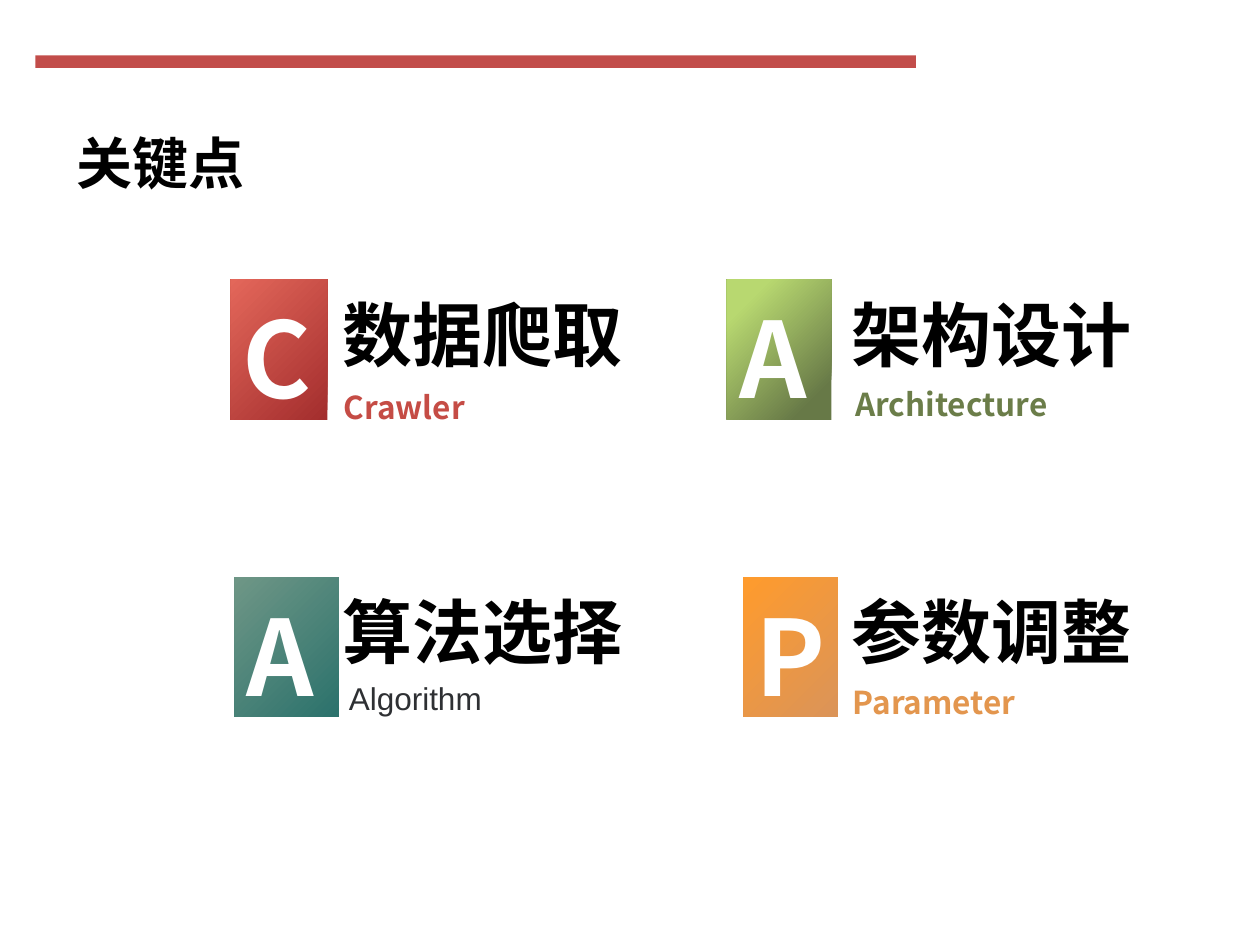
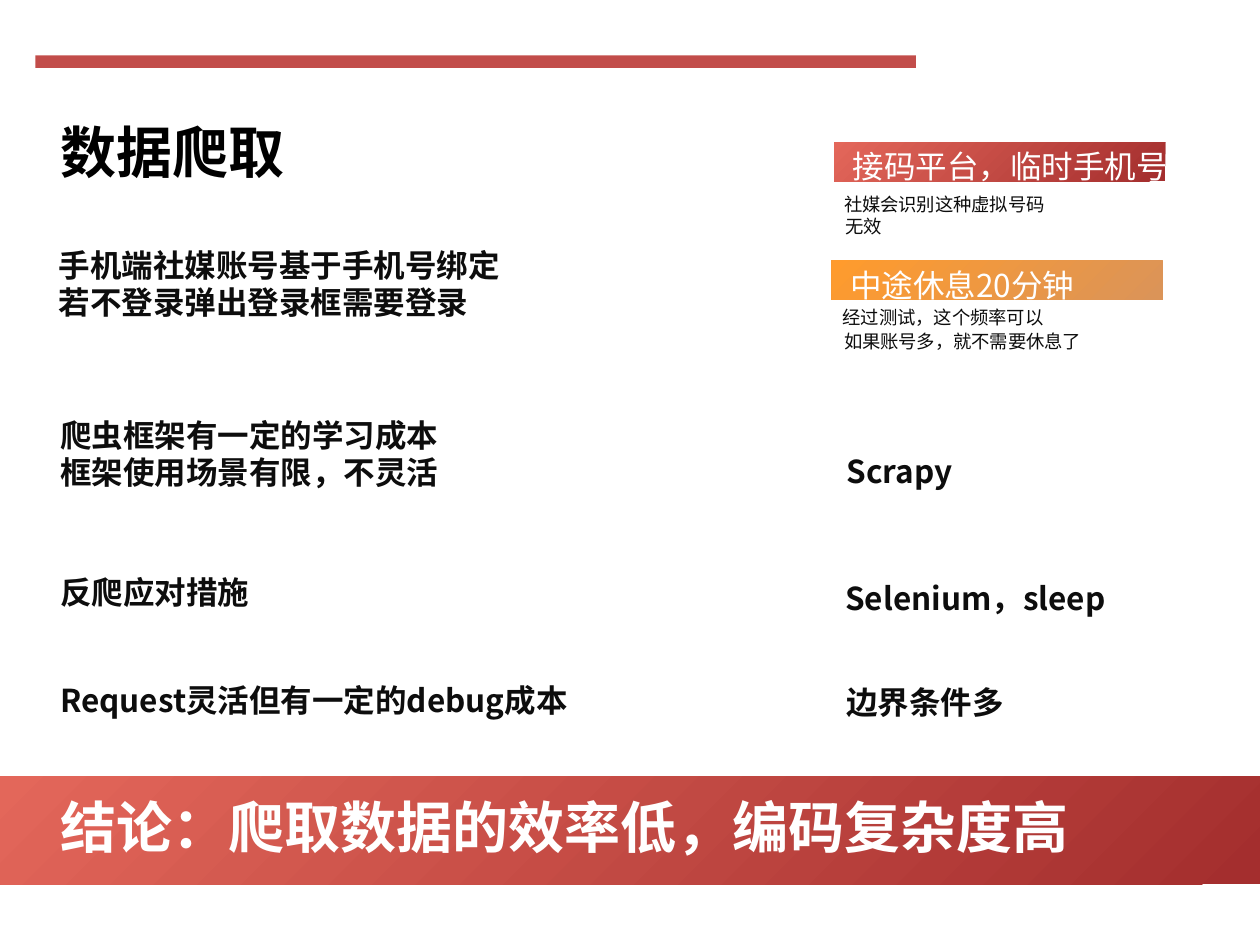
"""Build two slides on the key points of a data project: overview and data crawling."""
from dataclasses import dataclass

from lxml.etree import SubElement
from pptx import Presentation
from pptx.dml.color import RGBColor as RGB
from pptx.enum.shapes import MSO_SHAPE as SHAPE
from pptx.enum.text import MSO_ANCHOR as ANCHOR, PP_ALIGN as ALIGN
from pptx.oxml.ns import qn
from pptx.util import Inches, Pt


@dataclass(frozen=True)
class Theme:
    font: str = "Noto Sans CJK SC"
    plain_font: str = "Arial"
    bar: str = "C24D4A"
    black: str = "000000"
    ink: str = "0D0D0D"
    white: str = "FFFFFF"
    crawler: str = "C54C45"
    architecture: str = "6B7D49"
    algorithm: str = "2E3033"
    parameter: str = "E3964E"
    red: tuple = ((1, "A42E2E"), (100, "E3675A"))
    green: tuple = ((15, "677947"), (83, "B8D870"))
    orange: tuple = ((1, "DB9458"), (100, "FF9B2D"))
    teal: tuple = ((1, "2C726C"), (99, "6E9686"))
    letter: float = 60
    heading: float = 40
    title: float = 32
    body: float = 18
    note: float = 10.5
    leading: float = 1.2
    drop: float = 0.075


T = Theme()


def add_block(s, x, y, w, h, fill):
    sp = s.shapes.add_shape(SHAPE.RECTANGLE, Inches(x), Inches(y), Inches(w), Inches(h))
    sp.shadow.inherit = False
    sp.line.fill.background()
    if isinstance(fill, str):
        sp.fill.solid()
        sp.fill.fore_color.rgb = RGB.from_string(fill)
    else:
        sp.fill.gradient()
        sp.fill.gradient_angle = 135
        for stop, (percent, color) in zip(sp.fill.gradient_stops, fill):
            stop.position = percent / 100
            stop.color.rgb = RGB.from_string(color)
    return sp


def add_text(s, x, y, w, h, text, size, color, bold=True, font=T.font, wrap=False, sp=None):
    sp = sp or s.shapes.add_textbox(Inches(x), Inches(y), Inches(w), Inches(h))
    tf = sp.text_frame
    tf.word_wrap = wrap
    tf.vertical_anchor = ANCHOR.TOP
    tf.margin_top = Inches(0.05) + Pt(size * T.drop)
    tf.margin_bottom = 0
    tf.text = text
    for p in tf.paragraphs:
        p.alignment = ALIGN.LEFT
        p.line_spacing = Pt(size * T.leading)
        p.font.size = Pt(size)
        p.font.bold = bold
        p.font.color.rgb = RGB.from_string(color)
        p.font.name = font
        props = p._p.get_or_add_pPr().get_or_add_defRPr()
        SubElement(props, qn("a:ea")).set("typeface", T.font)


prs = Presentation()
prs.slide_width, prs.slide_height = Inches(10), Inches(7.5)

titles = [("关键点", 0.51, 0.94, 1.55), ("数据爬取", 0.38, 0.85, 2)]
for title, x, y, w in titles:
    s = prs.slides.add_slide(prs.slide_layouts[6])
    add_block(s, 0.28, 0.44, 6.99, 0.1, T.bar)
    add_text(s, x, y, w, 0.64, title, T.title, T.black)
overview, crawling = prs.slides

columns, rows = (2.62, 6.66), (2.22, 4.58)
key_points = [
    (0, 0, "C", 1.83, 0.77, T.red, "数据爬取", "Crawler", 2.63, 3.01, 1.17, T.crawler),
    (1, 0, "A", 5.77, 0.83, T.green, "架构设计", "Architecture", 6.69, 2.99, 1.77, T.architecture),
    (0, 1, "A", 1.86, 0.83, T.teal, "算法选择", "Algorithm", 2.67, 5.32, 1.27, T.algorithm),
    (1, 1, "P", 5.9, 0.75, T.orange, "参数调整", "Parameter", 6.67, 5.35, 1.51, T.parameter),
]
for col, row, letter, x, w, fill, name, english, ex, ey, ew, color in key_points:
    tile = (x, rows[row], w, 1.11)
    sp = add_block(overview, *tile, fill)
    add_text(overview, *tile, letter, T.letter, T.white, sp=sp)
    add_text(overview, columns[col], rows[row], 2.45, 0.77, name, T.heading, T.black)
    plain = english == "Algorithm"
    add_text(overview, ex, ey, ew, 0.4, english, T.body, color,
             bold=not plain, font=T.plain_font if plain else T.font)

findings = [
    (0.37, 1.88, 3.74, 0.71, "手机端社媒账号基于手机号绑定\n若不登录弹出登录框需要登录", False),
    (0.38, 3.23, 3.23, 0.71, "爬虫框架有一定的学习成本\n框架使用场景有限，不灵活", False),
    (0.38, 4.48, 1.72, 0.4, "反爬应对措施", False),
    (0.38, 5.34, 4.33, 0.4, "Request灵活但有一定的debug成本", True),
    (6.62, 3.52, 1.05, 0.4, "Scrapy", False),
    (6.61, 4.53, 2.62, 0.4, "Selenium，sleep", True),
    (6.62, 5.35, 1.46, 0.4, "边界条件多", False),
]
for x, y, w, h, text, wrap in findings:
    add_text(crawling, x, y, w, h, text, T.body, T.ink, wrap=wrap)

measures = [
    (6.62, 1.13, T.red, "接码平台，临时手机号", 2.73,
     [(6.6, 1.47, 1.82, "社媒会识别这种虚拟号码"), (6.61, 1.65, 0.5, "无效")]),
    (6.6, 2.07, T.orange, "中途休息20分钟", 2.3,
     [(6.59, 2.37, 1.85, "经过测试，这个频率可以"), (6.6, 2.56, 2.12, "如果账号多，就不需要休息了")]),
]
for x, y, fill, label, label_w, notes in measures:
    add_block(crawling, x, y, 2.63, 0.31, fill)
    add_text(crawling, x + 0.05, y - 0.03, label_w, 0.4, label, T.body, T.white, bold=False)
    for note_x, note_y, note_w, note in notes:
        add_text(crawling, note_x, note_y, note_w, 0.28, note, T.note, T.ink, bold=False)

add_block(crawling, 0, 6.16, 10, 0.86, T.red)
add_text(crawling, 0.38, 6.21, 8.28, 0.64, "结论：爬取数据的效率低，编码复杂度高", T.title, T.white)

prs.save("out.pptx")
